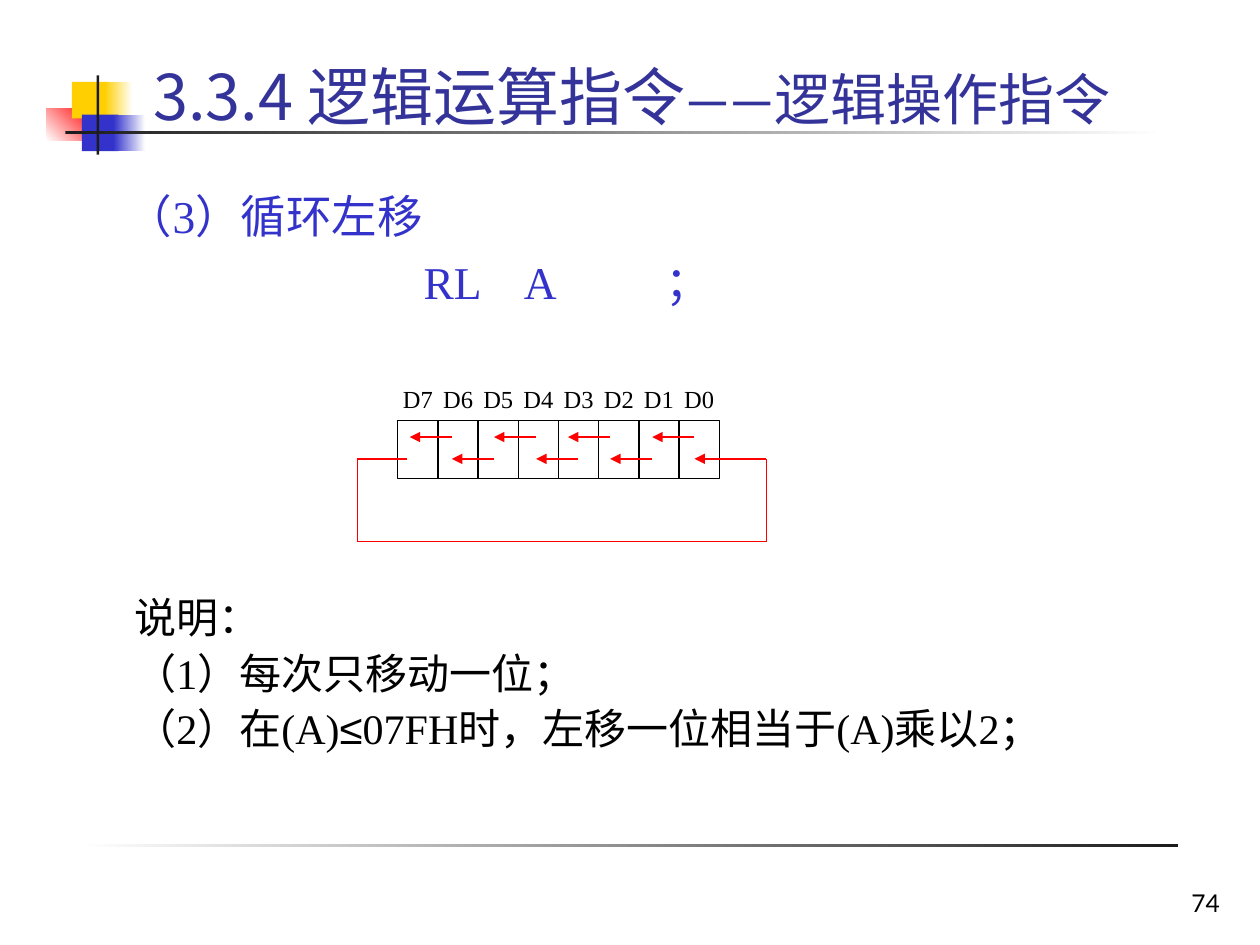
"""Build the slide on the rotate-left instruction RL A."""
from lxml.etree import SubElement
from pptx import Presentation
from pptx.dml.color import RGBColor
from pptx.enum.lang import MSO_LANGUAGE_ID as Lang
from pptx.enum.shapes import MSO_CONNECTOR as Connector, MSO_SHAPE as Shape
from pptx.enum.text import MSO_ANCHOR as Anchor, PP_ALIGN as Align
from pptx.oxml.ns import qn
from pptx.util import Cm, Pt

BLACK, INK, WHITE, RED = "000000", "1C1C1C", "FFFFFF", "FF0000"
BLUE, YELLOW, NAVY = "3333CC", "FFCF01", "333399"
SERIF, SANS, CJK, LATO = "Times New Roman", "Arial", "Noto Sans CJK JP", "Lato"

ORNAMENTS = [
    ((0.94, 2.18, 0.97, 0.66), (WHITE, RED), 45),
    ((1.45, 1.65, 0.74, 0.74), (YELLOW,), 0),
    ((2.11, 1.65, 0.56, 0.74), (YELLOW, WHITE), 0),
    ((1.65, 2.31, 0.74, 0.74), (BLUE,), 0),
    ((2.29, 2.31, 0.64, 0.74), (BLUE, WHITE), 0),
    ((1.32, 2.64, 22.17, 0.06), (INK, WHITE), 0),
    ((1.95, 1.52, 0.05, 1.6), (INK,), 0),
    ((1.57, 17.02, 22.17, 0.05), (WHITE, INK), 0),
]
TITLE = [[("3.3.4 逻辑运算指令", CJK, 36), ("——", SANS, 32), ("逻辑操作指令", CJK, 32)]]
INSTRUCTION = [[("（3）循环左移", SERIF, 26)], [("\tRL\tA\t；", SERIF, 26)]]
CODE_TABS = (5.98, 8.0, 10.85)
NOTES = [
    [("说明：", SERIF, 24)],
    [("（1）每次只移动一位；", SERIF, 24)],
    [("（2）在(A)", SERIF, 24), ("≤", SANS, 24), ("07FH时，左移一位相当于(A)乘以2；", SERIF, 24)],
]
BITS = ["D7", "D6", "D5", "D4", "D3", "D2", "D1", "D0"]
REGISTER_LEFT, REGISTER_TOP, BIT_WIDTH, BIT_HEIGHT = 8.02, 8.48, 0.81, 1.17
ARROW_LEFT, ARROW_LENGTH, ARROW_SHIFT = 8.26, 0.85, 0.21
UPPER_ROW, LOWER_ROW = 8.81, 9.25
LOOP_LEFT, LOOP_RIGHT, LOOP_BOTTOM, LOOP_END = 7.2, 15.45, 10.92, 8.2


def color(value):
    return RGBColor.from_string(value)


def add_ornament(slide, place, colors, angle):
    ornament = slide.shapes.add_shape(Shape.RECTANGLE, *map(Cm, place))
    ornament.shadow.inherit = False
    ornament.line.fill.background()
    if len(colors) == 1:
        ornament.fill.solid()
        ornament.fill.fore_color.rgb = color(colors[0])
        return
    ornament.fill.gradient()
    ornament.fill.gradient_angle = angle
    for position, (stop, tint) in enumerate(zip(ornament.fill.gradient_stops, colors)):
        stop.position = position
        stop.color.rgb = color(tint)


def add_text(slide, place, paragraphs, tint, align=Align.LEFT, anchor=Anchor.TOP,
             before=0, spacing=None, wrap=True):
    frame = slide.shapes.add_textbox(*map(Cm, place)).text_frame
    frame.word_wrap = wrap
    frame.vertical_anchor = anchor
    for index, pieces in enumerate(paragraphs):
        paragraph = frame.add_paragraph() if index else frame.paragraphs[0]
        paragraph.alignment = align
        paragraph.line_spacing = spacing
        paragraph.space_before = Pt(before if index else 0)
        for words, face, size in pieces:
            run = paragraph.add_run()
            run.text = words
            run.font.name, run.font.size = face, Pt(size)
            run.font.color.rgb = color(tint)
            run.font.language_id = Lang.SIMPLIFIED_CHINESE
            east_asian = SubElement(run.font._element, qn("a:ea"))
            east_asian.set("typeface", CJK if face == CJK else LATO)
    return frame


def set_tabs(paragraph, stops):
    tabs = SubElement(paragraph._p.get_or_add_pPr(), qn("a:tabLst"))
    for stop in stops:
        SubElement(tabs, qn("a:tab"), pos=str(Cm(stop)), algn="l")


def add_line(slide, start, end, arrow=False):
    line = slide.shapes.add_connector(Connector.STRAIGHT, *map(Cm, start + end))
    line.line.color.rgb = color(RED)
    line.line.width = Pt(0.75)
    if arrow:
        SubElement(line.line._get_or_add_ln(), qn("a:tailEnd"), type="triangle")
    SubElement(line._element.spPr, qn("a:effectLst"))


def add_register(slide):
    for index, bit in enumerate(BITS):
        left = REGISTER_LEFT + index * BIT_WIDTH
        cell = slide.shapes.add_shape(
            Shape.RECTANGLE, *map(Cm, (left, REGISTER_TOP, BIT_WIDTH, BIT_HEIGHT)))
        cell.shadow.inherit = False
        cell.fill.background()
        cell.line.color.rgb = color(BLACK)
        cell.line.width = Pt(0.75)
        add_text(slide, (left - 0.16, 7.62, 1.13, 0.86), [[(bit, SERIF, 14)]],
                 BLACK, Align.CENTER, wrap=False)


def add_rotation(slide):
    for index in range(len(BITS)):
        tip = ARROW_LEFT + index * ARROW_LENGTH - (ARROW_SHIFT if index >= 4 else 0)
        row = LOWER_ROW if index % 2 else UPPER_ROW
        start = LOOP_RIGHT if index == len(BITS) - 1 else tip + ARROW_LENGTH
        add_line(slide, (start, row), (tip, row), arrow=True)
    loop = [(LOOP_RIGHT, LOWER_ROW), (LOOP_RIGHT, LOOP_BOTTOM), (LOOP_LEFT, LOOP_BOTTOM),
            (LOOP_LEFT, LOWER_ROW), (LOOP_END, LOWER_ROW)]
    for start, end in zip(loop, loop[1:]):
        add_line(slide, start, end)


def main():
    deck = Presentation()
    deck.slide_width, deck.slide_height = Cm(25.4), Cm(19.05)
    slide = deck.slides.add_slide(deck.slide_layouts[6])
    for ornament in ORNAMENTS:
        add_ornament(slide, *ornament)
    add_text(slide, (19.56, 17.35, 5.28, 1.27), [[("74", LATO, 14)]], BLACK,
             Align.RIGHT, Anchor.BOTTOM)
    add_text(slide, (2.84, 1.12, 22.66, 1.6), TITLE, NAVY, anchor=Anchor.MIDDLE)
    instruction = add_text(slide, (2.31, 3.66, 21.39, 3.23), INSTRUCTION, BLUE, before=6.5)
    set_tabs(instruction.paragraphs[1], CODE_TABS)
    add_register(slide)
    add_rotation(slide)
    add_text(slide, (2.46, 11.91, 21.59, 4.93), NOTES, BLACK, before=6, spacing=0.9)
    deck.save("out.pptx")


if __name__ == "__main__":
    main()
